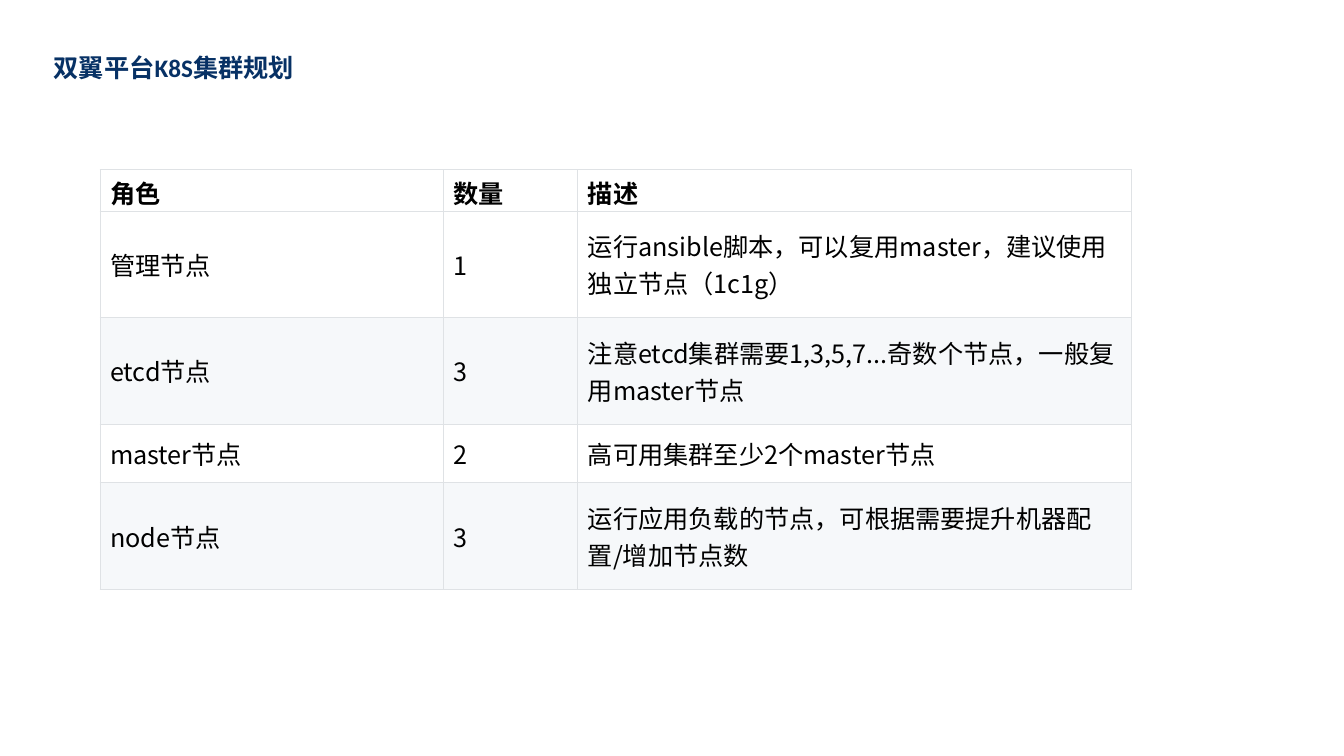
"""Build the K8S cluster planning slide with its table of node roles."""
import pptx
import pptx.dml.color
import pptx.enum.shapes
import pptx.enum.text
import pptx.oxml
import pptx.oxml.ns
import pptx.util
from pptx.util import Cm

COLORS = {"title": "073165", "text": "000000", "border": "DFE2E5",
          "plain": "FFFFFF", "band": "F6F8FA"}
TABLE_FONT = "Noto Sans CJK SC"
NAMESPACE = pptx.oxml.ns.nsdecls("a")


def style_text(paragraph, typeface, color, bold):
    for run in paragraph.runs:
        run.font.size = pptx.util.Pt(18)
        run.font.bold = bold
        run.font.color.rgb = pptx.dml.color.RGBColor.from_string(COLORS[color])
        run.font.name = typeface
        run.font._element.append(pptx.oxml.parse_xml(
            f'<a:ea {NAMESPACE} typeface="{TABLE_FONT}"/>'))


def add_borders(cell):
    properties = cell._tc.get_or_add_tcPr()
    for position, side in enumerate(("lnL", "lnR", "lnT", "lnB")):
        properties.insert(position, pptx.oxml.parse_xml(
            f'<a:{side} {NAMESPACE} w="7620"><a:solidFill>'
            f'<a:srgbClr val="{COLORS["border"]}"/></a:solidFill></a:{side}>'))


deck = pptx.Presentation()
deck.slide_width, deck.slide_height = Cm(33.87), Cm(19.05)
slide = deck.slides.add_slide(deck.slide_layouts[5])

title_backing = slide.shapes.add_shape(
    pptx.enum.shapes.MSO_SHAPE.ROUNDED_RECTANGLE,
    Cm(-0.25), Cm(1.19), Cm(9.09), Cm(1.07))
title_backing.shadow.inherit = False
title_backing.fill.solid()
title_backing.fill.fore_color.rgb = pptx.dml.color.RGBColor.from_string(COLORS["plain"])
title_backing.line.fill.background()

title = slide.shapes.title
title_backing._element.addnext(title._element)
title.left, title.top, title.width, title.height = Cm(0.13), Cm(1.19), Cm(8.5), Cm(1.02)
title.text_frame.text = "双翼平台K8S集群规划"
title.text_frame.auto_size = pptx.enum.text.MSO_AUTO_SIZE.NONE
title.text_frame.vertical_anchor = pptx.enum.text.MSO_ANCHOR.TOP
title.text_frame.paragraphs[0].alignment = pptx.enum.text.PP_ALIGN.CENTER
style_text(title.text_frame.paragraphs[0], "Calibri", "title", True)

node_roles = [
    ("角色", "数量", "描述"),
    ("管理节点", "1", "运行ansible脚本，可以复用master，建议使用独立节点（1c1g）"),
    ("etcd节点", "3", "注意etcd集群需要1,3,5,7...奇数个节点，一般复用master节点"),
    ("master节点", "2", "高可用集群至少2个master节点"),
    ("node节点", "3", "运行应用负载的节点，可根据需要提升机器配置/增加节点数"),
]
column_widths = [8.66, 3.38, 13.95]
row_heights = [0.84, 2.68, 2.7, 1.46, 2.7]

role_table = slide.shapes.add_table(
    len(node_roles), len(column_widths), Cm(2.52), Cm(4.27),
    Cm(sum(column_widths)), Cm(sum(row_heights))).table
for column, width in zip(role_table.columns, column_widths):
    column.width = Cm(width)

for row_number, (row, height, entries) in enumerate(
        zip(role_table.rows, row_heights, node_roles)):
    row.height = Cm(height)
    is_header = row_number == 0
    is_band = row_number > 0 and row_number % 2 == 0
    for cell, entry in zip(row.cells, entries):
        cell.text_frame.text = entry
        cell.vertical_anchor = pptx.enum.text.MSO_ANCHOR.MIDDLE
        if is_header:
            cell.margin_bottom = Cm(0)
        cell.fill.solid()
        cell.fill.fore_color.rgb = pptx.dml.color.RGBColor.from_string(
            COLORS["band" if is_band else "plain"])
        add_borders(cell)
        style_text(cell.text_frame.paragraphs[0], TABLE_FONT, "text", is_header)

deck.save("out.pptx")
